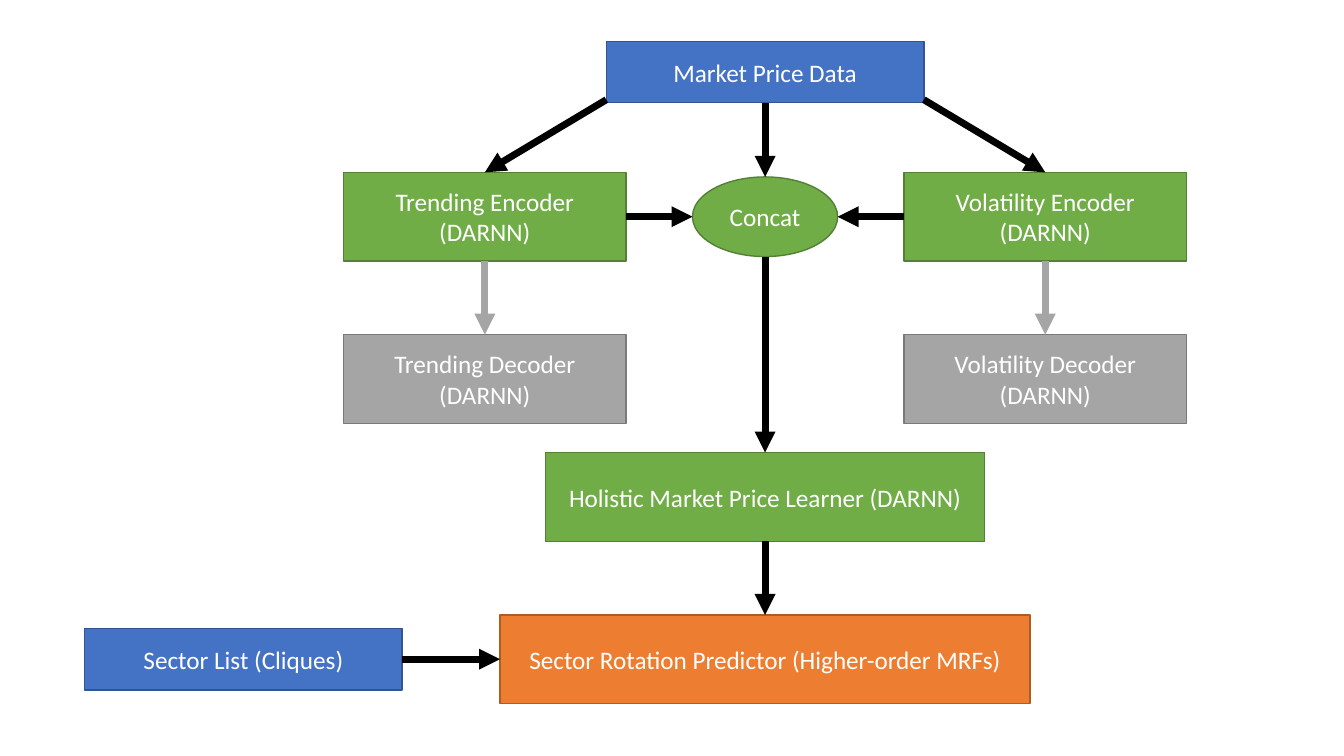
from dataclasses import dataclass

from lxml.etree import SubElement
from pptx import Presentation
from pptx.dml.color import RGBColor
from pptx.enum.shapes import MSO_CONNECTOR, MSO_SHAPE
from pptx.enum.text import MSO_ANCHOR, PP_ALIGN
from pptx.oxml.ns import qn
from pptx.util import Inches, Pt


@dataclass(frozen=True)
class Theme:
    # Each pair holds fill and outline
    data: tuple = ("4472C4", "325491")
    model: tuple = ("70AD47", "538035")
    side: tuple = ("A5A5A5", "7A7A7A")
    goal: tuple = ("ED7D31", "AF5C24")
    text: str = "FFFFFF"
    flow: str = "000000"
    font: str = "Calibri"
    size: int = 18
    edge: int = 1
    thick: int = 5


@dataclass(frozen=True)
class Box:
    # Measured in grid columns and rows
    left: float
    top: float
    width: float
    height: float

    def at(self, across, down):
        return self.left + across * self.width, self.top + down * self.height


THEME = Theme()
CELL = 0.1  # side of one grid square, in inches
COLS, ROWS = 133.33, 75
THIN, TALL = 6.1, 8.8  # rows taken by data nodes and model nodes
TOP, LEFT, BASE, RIGHT = (0.5, 0), (0, 0.5), (0.5, 1), (1, 0.5)


def grid(count):
    return Inches(count * CELL)


def paint(color):
    return RGBColor.from_string(color)


def node(slide, text, tone, box, form=MSO_SHAPE.RECTANGLE):
    shape = slide.shapes.add_shape(
        form, grid(box.left), grid(box.top), grid(box.width), grid(box.height))
    shape.shadow.inherit = False
    fill, edge = tone
    shape.fill.solid()
    shape.fill.fore_color.rgb = paint(fill)
    shape.line.color.rgb = paint(edge)
    shape.line.width = Pt(THEME.edge)

    frame = shape.text_frame
    frame.text = text
    frame.word_wrap = True
    frame.vertical_anchor = MSO_ANCHOR.MIDDLE
    para = frame.paragraphs[0]
    para.alignment = PP_ALIGN.CENTER
    font = para.runs[0].font
    font.name, font.size = THEME.font, Pt(THEME.size)
    font.color.rgb = paint(THEME.text)
    return box


def arrow(slide, start, end, color=THEME.flow):
    ends = [grid(value) for value in (*start, *end)]
    link = slide.shapes.add_connector(MSO_CONNECTOR.STRAIGHT, *ends)
    link.line.color.rgb = paint(color)
    link.line.width = Pt(THEME.thick)
    SubElement(link.line._get_or_add_ln(), qn("a:tailEnd"), type="triangle")
    SubElement(link._element.spPr, qn("a:effectLst"))


def encode(slide, area):
    """Market data, the two coder branches and the node that joins them."""
    mid = area.at(0.5, 0)[0]
    wide, row, step = 28, area.top + 13, 16.1

    # Shared input and join
    data = node(slide, "Market Price Data", THEME.data,
                Box(mid - 15.75, area.top, 31.5, THIN))
    join = node(slide, "Concat", THEME.model,
                Box(mid - 7.2, row + 0.45, 14.4, 7.9), MSO_SHAPE.OVAL)
    arrow(slide, data.at(*BASE), join.at(*TOP))

    # Mirrored branches
    far = area.left + area.width - wide
    for name, left, side, inner, meet in (
            ("Trending", area.left, 0, RIGHT, LEFT),
            ("Volatility", far, 1, LEFT, RIGHT)):
        coder = node(slide, f"{name} Encoder (DARNN)", THEME.model,
                     Box(left, row, wide, TALL))
        back = node(slide, f"{name} Decoder (DARNN)", THEME.side,
                    Box(left, row + step, wide, TALL))
        arrow(slide, data.at(side, 0.95), coder.at(*TOP))
        arrow(slide, coder.at(*BASE), back.at(*TOP), THEME.side[0])
        arrow(slide, coder.at(*inner), join.at(*meet))
    return join


def predict(slide, area):
    """Price learner and sector list, both feeding the predictor."""
    wide = 52.6
    goal = node(slide, "Sector Rotation Predictor (Higher-order MRFs)", THEME.goal,
                Box(area.left + area.width - wide,
                    area.top + area.height - TALL, wide, TALL))
    mid, level = goal.at(0.5, 0.5)
    learn = node(slide, "Holistic Market Price Learner (DARNN)", THEME.model,
                 Box(mid - 21.8, area.top, 43.6, TALL))
    list_box = node(slide, "Sector List (Cliques)", THEME.data,
                    Box(area.left, level - THIN / 2, 31.5, THIN))
    arrow(slide, learn.at(*BASE), goal.at(*TOP))
    arrow(slide, list_box.at(*RIGHT), goal.at(*LEFT))
    return learn


def main():
    deck = Presentation()
    deck.slide_width, deck.slide_height = grid(COLS), grid(ROWS)
    slide = deck.slides.add_slide(deck.slide_layouts[6])

    # Two regions, joined by one arrow
    join = encode(slide, Box(34.1, 4.1, 83.6, 37.9))
    learn = predict(slide, Box(8.4, 44.9, 93.8, 24.9))
    arrow(slide, join.at(*BASE), learn.at(*TOP))
    deck.save("out.pptx")


main()
